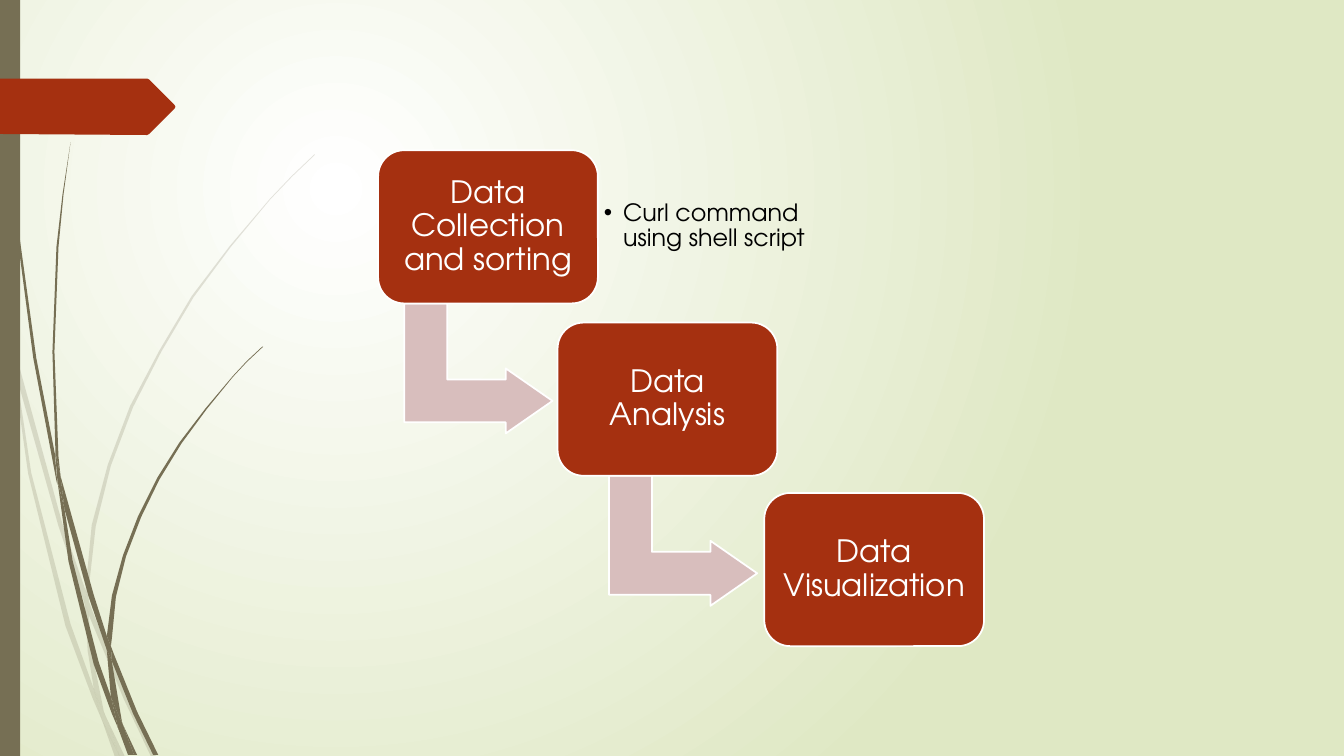
from lxml import etree
from pptx import Presentation, util as u
from pptx.dml import color
from pptx.enum import shapes, text
from pptx.oxml import ns

COLORS = {
    "white": "FFFFFF", "black": "000000", "meadow": "DFE8C4",
    "stem": "766F54", "brick": "A53010", "blush": "D8BEBD",
}

PALE_GRASS = [
    "0.11 3.5 0.09 3.22 0 2.82 0 2.99 0.1 3.44",
    "0.58 5.22 0.84 5.99 0.85 5.86 0.62 5.2 0.14 3.45 0.17 3.76",
    "0.92 6.07 0.88 5.96 0.88 6.1 1.23 6.94 1.5 7.51 1.55 7.51 1.27 6.92",
    "1.19 7.51 1.24 7.51 1.05 7.11",
    "0.93 6.83 0.7 6.19 0.31 4.69 0.17 3.76 0.11 3.5 0.28 4.7 0.65 6.21 0.92 6.93 1.01 7.14 0.99 7.07",
    "0.84 5.99 0.87 6.46 0.93 6.83 0.96 6.92 1.05 7.11 1.03 7.06 0.91 6.46 0.88 6.1 0.88 6.08",
    "0.88 5.84 0.95 5.22 1.1 4.62 1.32 4.04 1.6 3.49 1.92 2.95 2.29 2.45 2.68 1.98 2.9 1.75 3.12 1.54 "
    "3.12 1.53 2.89 1.75 2.68 1.97 2.28 2.44 1.9 2.94 1.58 3.48 1.29 4.03 1.07 4.61 0.91 5.21 "
    "0.85 5.84 0.85 5.86 0.88 5.96",
    "1.01 7.14 1.14 7.51 1.19 7.51",
    "0.88 6.08 0.88 6.1 0.88 5.96 0.85 5.86 0.84 5.99",
    "0.96 6.92 0.93 6.83 0.99 7.07 1.01 7.14 1.19 7.51 1.05 7.11",
]

DARK_GRASS = [
    "0.07 1.1 0.17 2.33 0.33 3.55 0.56 4.77 0.57 4.81 0.55 4.57 0.55 4.53 0.36 3.55 0.19 2.32 "
    "0.08 1.09 0.05 0.48 0.04 0 0.03 0 0.04 0.48",
    "0.88 5.92 1.06 6.45 1.06 6.31 0.93 5.9 0.6 4.72 0.64 5.05",
    "1.13 6.49 1.1 6.41 1.11 6.56 1.32 7.08 1.52 7.49 1.57 7.49 1.36 7.06",
    "1.1 6.91 0.98 6.57 0.72 5.56 0.64 5.05 0.57 4.77 0.68 5.57 0.93 6.59 1.11 7.08 1.17 7.22 1.16 7.17",
    "0.6 4.72 0.58 4.53 0.54 3.49 0.58 2.45 0.63 1.93 0.7 1.41 0.62 1.93 0.56 2.45 0.52 3.49 0.55 4.49",
    "1.33 7.49 1.36 7.49 1.22 7.19",
    "0.57 4.77 0.64 5.05 0.6 4.72 0.55 4.49 0.55 4.53",
    "1.11 6.33 1.15 5.92 1.25 5.52 1.4 5.13 1.58 4.76 1.8 4.4 2.05 4.06 2.31 3.74 2.45 3.59 2.61 3.44 "
    "2.6 3.44 2.45 3.58 2.31 3.73 2.04 4.05 1.78 4.39 1.56 4.74 1.37 5.12 1.22 5.51 1.11 5.91 "
    "1.06 6.31 1.1 6.41",
    "1.17 7.22 1.27 7.49 1.31 7.49",
    "1.06 6.45 1.1 6.91 1.16 7.06 1.22 7.19 1.21 7.16 1.11 6.56 1.09 6.51",
    "1.06 6.45 1.09 6.51 1.11 6.56 1.1 6.41 1.06 6.31",
    "1.16 7.06 1.1 6.91 1.16 7.17 1.17 7.22 1.3 7.49 1.33 7.49 1.22 7.19",
]

TAG = "0 0.78 1.46 0.78 1.48 0.79 1.73 1.04 1.74 1.06 1.73 1.08 1.48 1.33 1.46 1.34 0 1.33"
STEPS = [("Data Collection and sorting", 3.75, 1.49), ("Data Analysis", 5.53, 3.2),
         ("Data Visualization", 7.58, 4.89)]
ARROWS = [(4.1, 2.92), (6.13, 4.63)]


def rgb(name):
    return color.RGBColor.from_string(COLORS[name])


def write(sp, content, size, ink, align=text.PP_ALIGN.LEFT, bullet=None):
    tf = sp.text_frame
    tf.word_wrap = True
    tf.vertical_anchor = text.MSO_ANCHOR.MIDDLE
    tf.margin_left = tf.margin_right = tf.margin_top = tf.margin_bottom = u.Inches(0.09)
    p = tf.paragraphs[0]
    p.alignment, p.line_spacing = align, 0.9
    r = p.add_run()
    r.text = content
    r.font.size, r.font.name, r.font.color.rgb = u.Pt(size), Deck.font, rgb(ink)
    if bullet:
        p.level = 1
        pPr = p._p.get_or_add_pPr()
        pPr.set("marL", str(u.Inches(0.19)))
        pPr.set("indent", str(-u.Inches(0.19)))
        etree.SubElement(pPr, ns.qn("a:buFont"), typeface="Arial")
        etree.SubElement(pPr, ns.qn("a:buChar"), char=bullet)


class Deck:
    """Holds the style and the current slide."""

    font = "TeX Gyre Adventor"

    def __init__(self, prs):
        self.s = prs.slides.add_slide(prs.slide_layouts[6])

    def background(self, centre, edge):
        fill = self.s.background.fill
        fill.gradient()
        for stop, name, position in zip(fill.gradient_stops, (centre, edge), (0, 1)):
            stop.color.rgb, stop.position = rgb(name), position
        grad = self.s._element.find(".//" + ns.qn("a:gradFill"))
        ring = etree.Element(ns.qn("a:path"), path="circle")
        etree.SubElement(ring, ns.qn("a:fillToRect"), l="50000", t="50000", r="100000", b="100000")
        grad.replace(grad.find(ns.qn("a:lin")), ring)

    def paint(self, sp, fill, line=None, alpha=None):
        sp.shadow.inherit = False
        sp.fill.solid()
        sp.fill.fore_color.rgb = rgb(fill)
        if alpha:
            hue = sp._element.spPr.find(".//" + ns.qn("a:srgbClr"))
            etree.SubElement(hue, ns.qn("a:alpha"), val=str(alpha * 1000))
        if line:
            sp.line.color.rgb, sp.line.width = rgb(line), u.Pt(1.25)
        else:
            sp.line.fill.background()
        return sp

    def outline(self, corners, fill, alpha=None):
        n = [u.Inches(float(v)) for v in corners.split()]
        pts = list(zip(n[::2], n[1::2]))
        fb = self.s.shapes.build_freeform(*pts[0])
        fb.add_line_segments(pts[1:], close=True)
        return self.paint(fb.convert_to_shape(), fill, alpha=alpha)

    def shape(self, kind, box, fill, line=None, adj=(), rotation=0):
        sp = self.s.shapes.add_shape(kind, *map(u.Inches, box))
        for i, value in enumerate(adj):
            sp.adjustments[i] = value
        sp.rotation = rotation
        return self.paint(sp, fill, line)

    def note(self, content, box, **fmt):
        write(self.s.shapes.add_textbox(*map(u.Inches, box)), content, **fmt)


def main():
    prs = Presentation()
    prs.slide_width, prs.slide_height = u.Inches(13.33), u.Inches(7.5)
    deck = Deck(prs)
    kinds = shapes.MSO_SHAPE
    deck.background("white", "meadow")
    for blades, alpha in ((PALE_GRASS, 20), (DARK_GRASS, None)):
        for blade in blades:
            deck.outline(blade, "stem", alpha)
    deck.shape(kinds.RECTANGLE, (0, 0, 0.2, 7.5), "stem")
    deck.outline(TAG, "brick")
    for x, y in ARROWS:
        deck.shape(kinds.BENT_UP_ARROW, (x, y, 1.29, 1.47), "blush", "white", (0.33, 0.25, 0.36), 90)
    for title, x, y in STEPS:
        sp = deck.shape(kinds.ROUNDED_RECTANGLE, (x, y, 2.18, 1.52), "brick", "white", (0.17,))
        write(sp, title, size=22, ink="white", align=text.PP_ALIGN.CENTER)
    deck.note("Curl command using shell script", (5.9, 1.63, 2.7, 1.23), size=17, ink="black", bullet="•")
    prs.save("out.pptx")


if __name__ == "__main__":
    main()
